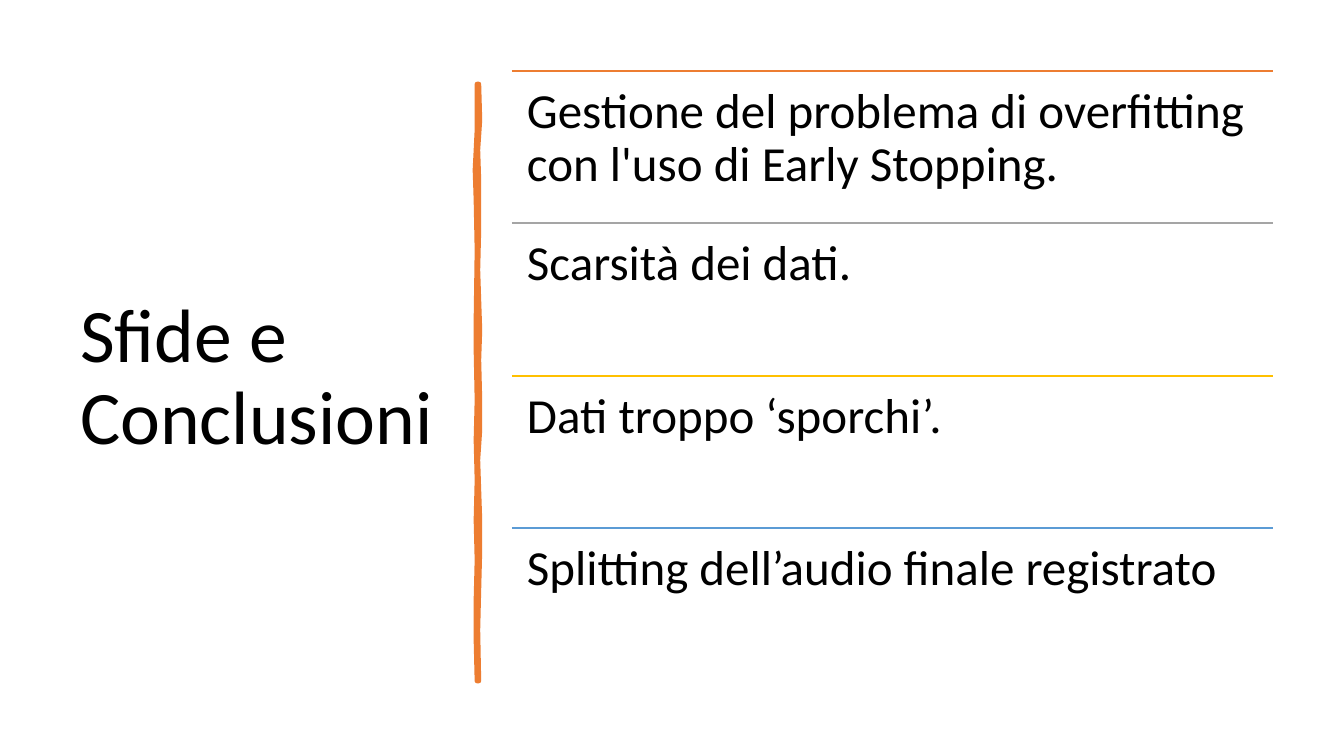
"""Build the "Sfide e Conclusioni" slide: a title, a brush stroke and four ruled points."""
from typing import NamedTuple

from lxml.etree import SubElement
from pptx import Presentation
from pptx.dml.color import RGBColor
from pptx.enum.shapes import MSO_CONNECTOR
from pptx.enum.text import MSO_ANCHOR, MSO_AUTO_SIZE, PP_ALIGN
from pptx.oxml.ns import qn
from pptx.slide import Slide
from pptx.text.text import TextFrame
from pptx.util import Emu, Pt

EMU_PER_PX = 914400 / 100.8
FONT = "Calibri"
BLACK = RGBColor(0x00, 0x00, 0x00)
ORANGE = RGBColor(0xED, 0x7D, 0x31)
GREY = RGBColor(0xA5, 0xA5, 0xA5)
GOLD = RGBColor(0xFF, 0xC0, 0x00)
BLUE = RGBColor(0x5B, 0x9B, 0xD5)

LIST_LEFT, LIST_TOP, LIST_WIDTH, LIST_HEIGHT = 512, 71, 761, 610
INSET = 15

STROKE_RIGHT = [
    (479, 84), (480, 120), (478, 150), (479, 180), (479, 230), (478, 270),
    (479, 300), (480, 330), (479, 360), (480, 400), (480, 430), (478, 460),
    (479, 490), (480, 520), (480, 550), (479, 590), (478, 630), (479, 681),
]
STROKE_LEFT = [
    (477, 681), (476, 640), (476, 600), (477, 560), (476, 520), (477, 480),
    (476, 440), (477, 400), (476, 350), (476, 320), (477, 250), (476, 200),
    (475, 170), (477, 130), (477, 84),
]


class Point(NamedTuple):
    text: str
    color: RGBColor


POINTS = [
    Point("Gestione del problema di overfitting con l'uso di Early Stopping.", ORANGE),
    Point("Scarsità dei dati.", GREY),
    Point("Dati troppo ‘sporchi’.", GOLD),
    Point("Splitting dell’audio finale registrato", BLUE),
]


def px(n: int) -> Emu:
    return Emu(round(n * EMU_PER_PX))


def write(tf: TextFrame, text: str, size: int, anchor: MSO_ANCHOR) -> None:
    tf.word_wrap = True
    tf.auto_size = MSO_AUTO_SIZE.NONE
    tf.vertical_anchor = anchor
    p = tf.paragraphs[0]
    p.alignment = PP_ALIGN.LEFT
    p.line_spacing = 0.9
    r = p.add_run()
    r.text = text
    r.font.name = FONT
    r.font.size = Pt(size)
    r.font.color.rgb = BLACK


def add_title(s: Slide, text: str) -> None:
    sp = s.shapes.title
    sp.left, sp.top, sp.width, sp.height = px(70), px(71), px(377), px(616)
    write(sp.text_frame, text, 54, MSO_ANCHOR.MIDDLE)


def add_stroke(s: Slide) -> None:
    start, *rest = STROKE_RIGHT + STROKE_LEFT
    builder = s.shapes.build_freeform(*start, scale=EMU_PER_PX)
    builder.add_line_segments(rest, close=True)
    sp = builder.convert_to_shape()
    sp.shadow.inherit = False
    sp.fill.solid()
    sp.fill.fore_color.rgb = ORANGE
    sp.line.color.rgb = ORANGE
    sp.line.width = Pt(3.25)
    SubElement(sp.line._get_or_add_ln(), qn("a:round"))


def add_point(s: Slide, point: Point, top: int, height: int) -> None:
    rule = s.shapes.add_connector(
        MSO_CONNECTOR.STRAIGHT,
        px(LIST_LEFT), px(top), px(LIST_LEFT + LIST_WIDTH), px(top),
    )
    rule.line.color.rgb = point.color
    rule.line.width = Pt(1)
    SubElement(rule._element.spPr, qn("a:effectLst"))
    sp = s.shapes.add_textbox(px(LIST_LEFT), px(top), px(LIST_WIDTH), px(height))
    tf = sp.text_frame
    tf.margin_left = tf.margin_top = tf.margin_right = tf.margin_bottom = px(INSET)
    write(tf, point.text, 35, MSO_ANCHOR.TOP)


def main() -> None:
    prs = Presentation()
    prs.slide_width, prs.slide_height = px(1344), px(756)
    s = prs.slides.add_slide(prs.slide_layouts[5])
    add_title(s, "Sfide e Conclusioni")
    add_stroke(s)
    height = LIST_HEIGHT // len(POINTS)
    for i, point in enumerate(POINTS):
        add_point(s, point, LIST_TOP + LIST_HEIGHT * i // len(POINTS), height)
    prs.save("out.pptx")


if __name__ == "__main__":
    main()
